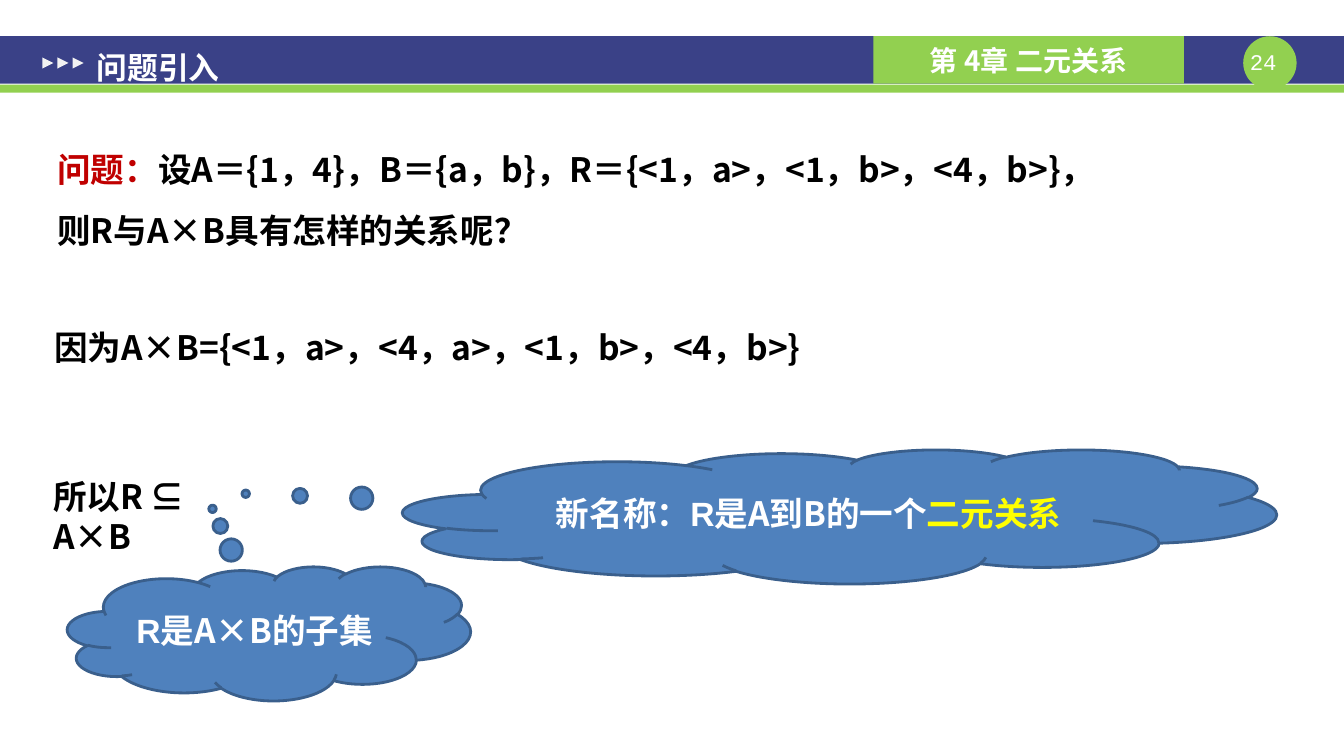
from pptx import Presentation
from pptx.dml.color import RGBColor
from pptx.enum.shapes import MSO_SHAPE
from pptx.enum.text import MSO_ANCHOR, PP_ALIGN
from pptx.oxml.ns import qn
from pptx.util import Inches, Pt
from lxml import etree

RECTANGLE, OVAL = MSO_SHAPE.RECTANGLE, MSO_SHAPE.OVAL
TRIANGLE, CLOUD = MSO_SHAPE.ISOSCELES_TRIANGLE, MSO_SHAPE.CLOUD_CALLOUT
LEFT, CENTER = PP_ALIGN.LEFT, PP_ALIGN.CENTER
TOP, MIDDLE = MSO_ANCHOR.TOP, MSO_ANCHOR.MIDDLE

SANS, ARIAL, MONO = "Noto Sans CJK SC", "Arial", "Courier New"
NAVY, GREEN, BLUE, OUTLINE = "3A4187", "92D050", "4F81BD", "3A5F8C"
WHITE, PALE, BLACK, RED, YELLOW = "FFFFFF", "F2F2F2", "000000", "C00000", "FFFF00"


def color(value):
    return RGBColor.from_string(value)


class SlideBuilder:
    """Places styled elements on one slide."""

    def __init__(self, page):
        self.page = page

    def fill_text(self, item, paragraphs, size=24, align=LEFT, anchor=TOP,
                  spacing=None, bold=True, insets=(0.1, 0.05), wrap=True):
        """Each paragraph is a list of (text, color, font) spans."""
        frame = item.text_frame
        frame.word_wrap = wrap
        frame.vertical_anchor = anchor
        frame.margin_left = frame.margin_right = Inches(insets[0])
        frame.margin_top = frame.margin_bottom = Inches(insets[1])
        for index, spans in enumerate(paragraphs):
            para = frame.paragraphs[0] if index == 0 else frame.add_paragraph()
            para.alignment = align
            if spacing:
                para.line_spacing = spacing
            for text, fill, font in spans:
                span = para.add_run()
                span.text = text
                span.font.size, span.font.bold = Pt(size), bold
                span.font.name = font
                span.font.color.rgb = color(fill)
                east_asian = etree.SubElement(span.font._element, qn("a:ea"))
                east_asian.set("typeface", SANS)

    def shape(self, kind, place, fill):
        item = self.page.shapes.add_shape(kind, *map(Inches, place))
        item.shadow.inherit = False
        item.fill.solid()
        item.fill.fore_color.rgb = color(fill)
        item.line.fill.background()
        return item

    def text(self, place, paragraphs, **style):
        box = self.page.shapes.add_textbox(*map(Inches, place))
        self.fill_text(box, paragraphs, **style)

    def cloud(self, place, tail, spans):
        item = self.shape(CLOUD, place, BLUE)
        item.adjustments[0], item.adjustments[1] = tail
        item.line.color.rgb = color(OUTLINE)
        item.line.width = Pt(2)
        self.fill_text(item, [spans], align=CENTER, anchor=MIDDLE)


def main():
    deck = Presentation()
    deck.slide_width, deck.slide_height = Inches(13.34), Inches(7.5)
    page = deck.slides.add_slide(deck.slide_layouts[6])
    builder = SlideBuilder(page)

    # Header bands and page number
    builder.shape(RECTANGLE, (0, 0.36, 13.34, 0.47), NAVY)
    builder.shape(RECTANGLE, (0, 0.84, 13.34, 0.08), GREEN)
    builder.shape(OVAL, (12.34, 0.36, 0.53, 0.53), GREEN)
    builder.text((12.34, 0.48, 0.53, 0.27), [[("24 ", WHITE, MONO)]],
                 size=16, bold=False, align=CENTER, insets=(0, 0))

    # Chapter label
    chapter = builder.shape(RECTANGLE, (8.67, 0.36, 3.08, 0.47), GREEN)
    builder.fill_text(chapter, [[("第 4章 二元关系", WHITE, SANS)]],
                      size=20, align=CENTER, anchor=MIDDLE)

    # Section title with its arrow marks
    for step in range(3):
        mark = builder.shape(TRIANGLE, (0.42 + 0.15 * step, 0.57, 0.11, 0.11), PALE)
        mark.rotation = 90
    builder.text((0.92, 0.33, 1.31, 0.51), [[("问题引入", WHITE, SANS)]],
                 size=22, spacing=1.3, insets=(0.04, 0.04), wrap=False)

    # Question and reasoning
    builder.text((0.44, 1.21, 12.4, 1.36), [
        [("问题：", RED, SANS),
         ("设A＝{1，4}，B＝{a，b}，R＝{<1，a>，<1，b>，<4，b>}，", BLACK, SANS)],
        [("则R与A×B具有怎样的关系呢？", BLACK, SANS)],
    ], spacing=1.5, insets=(0.13, 0.07))
    builder.text((0.44, 3.19, 8.92, 0.5),
                 [[("因为A×B={<1，a>，<4，a>，<1，b>，<4，b>}", BLACK, SANS)]])
    builder.text((0.43, 4.67, 2.29, 0.5), [[("所以R ⊆ A×B", BLACK, SANS)]])

    # Thought clouds
    builder.cloud((0.67, 5.62, 4, 1.33), (-0.14, -0.93),
                  [("R", WHITE, ARIAL), ("是A×B的子集", WHITE, SANS)])
    builder.cloud((4, 4.46, 8.67, 1.33), (-0.68, -0.17),
                  [("新名称：R", WHITE, ARIAL), ("是A到B的一个", WHITE, SANS),
                   ("二元关系", YELLOW, SANS)])

    deck.save("out.pptx")


if __name__ == "__main__":
    main()
